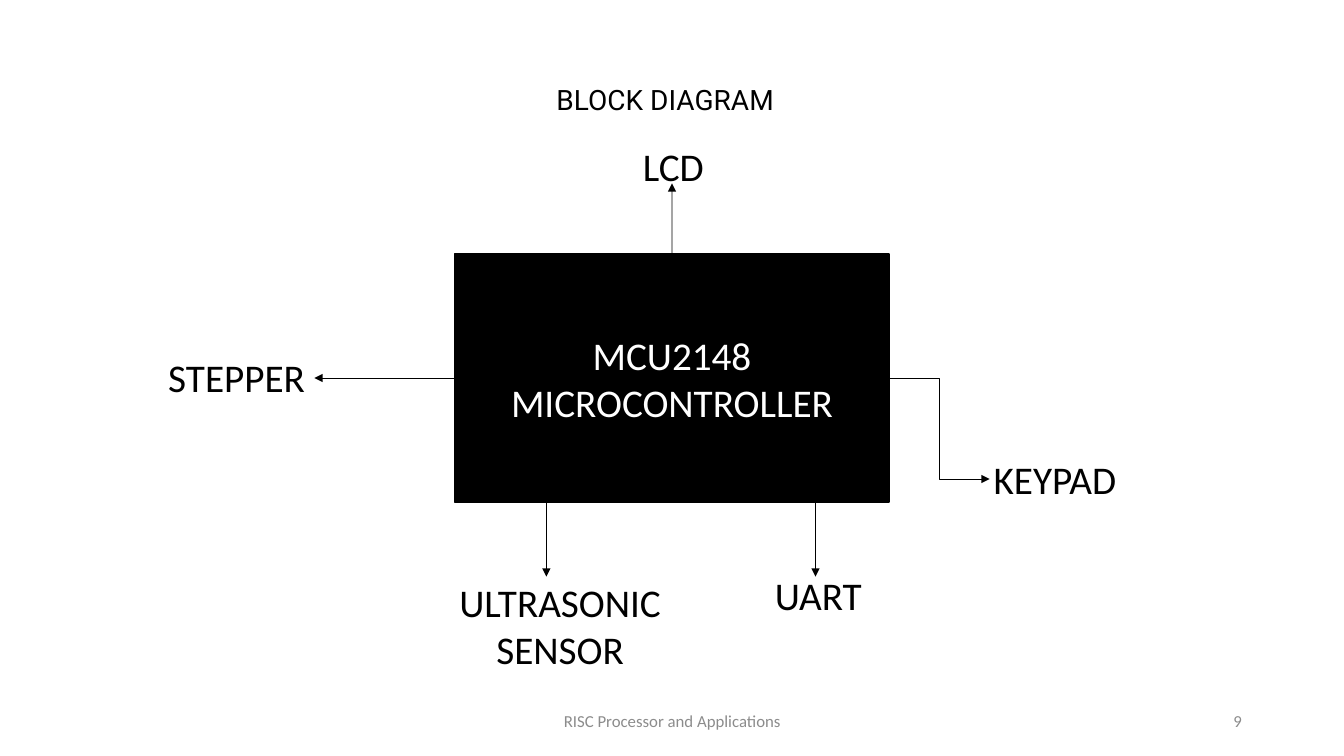
from pptx import Presentation
from pptx.dml.color import RGBColor
from pptx.enum.shapes import MSO_CONNECTOR as Link, MSO_SHAPE as Shape
from pptx.enum.text import MSO_ANCHOR as Anchor, MSO_AUTO_SIZE as Fit, PP_ALIGN as Align
from pptx.oxml.ns import qn
from pptx.util import Cm, Pt
from lxml.etree import SubElement

BLACK = RGBColor(0, 0, 0)
WHITE = RGBColor(255, 255, 255)
GREY = RGBColor(0x8C, 0x8C, 0x8C)


def write(shape, text, size, color, align, anchor=Anchor.TOP, font="Calibri"):
    frame = shape.text_frame
    frame.text = text
    frame.word_wrap = True
    frame.auto_size = Fit.NONE
    frame.vertical_anchor = anchor
    for para in frame.paragraphs:
        para.alignment = align
        for run in para.runs:
            run.font.size = Pt(size)
            run.font.name = font
            run.font.color.rgb = color


def arrow(kind, x1, y1, x2, y2):
    line = slide.shapes.add_connector(kind, Cm(x1), Cm(y1), Cm(x2), Cm(y2))
    line.line.color.rgb = BLACK
    line.line.width = Pt(0.5)
    SubElement(line.line._get_or_add_ln(), qn("a:tailEnd"), type="triangle")
    SubElement(line._element.spPr, qn("a:effectLst"))
    return line


deck = Presentation()
deck.slide_width, deck.slide_height = Cm(33.87), Cm(19.05)
slide = deck.slides.add_slide(deck.slide_layouts[5])

# Title
title = slide.shapes.title
title.left, title.top, title.width, title.height = Cm(13.77), Cm(1.96), Cm(6.35), Cm(1.12)
write(title, "BLOCK DIAGRAM", 20, BLACK, Align.LEFT, font="Roboto")

# Controller
left, top, wide, high = 11.46, 6.4, 10.95, 6.25
right, base = left + wide, top + high
mid_x, mid_y = left + wide / 2, top + high / 2
chip = slide.shapes.add_shape(Shape.RECTANGLE, Cm(left), Cm(top), Cm(wide), Cm(high))
chip.shadow.inherit = False
chip.fill.solid()
chip.fill.fore_color.rgb = BLACK
chip.line.color.rgb = BLACK
chip.line.width = Pt(1)
write(chip, "MCU2148\nMICROCONTROLLER", 28, WHITE, Align.CENTER, Anchor.MIDDLE)

# Arrows from the middle of a side: kind, side, start, end
for kind, side, x1, y1, x2, y2 in [
    (Link.STRAIGHT, 0, mid_x, top, mid_x, 4.62),
    (Link.STRAIGHT, 1, left, mid_y, 7.92, mid_y),
    (Link.ELBOW, 3, right, mid_y, 24.94, 12.07),
]:
    arrow(kind, x1, y1, x2, y2).begin_connect(chip, side)

# Arrows down from the base
for x in (13.77, 20.55):
    arrow(Link.STRAIGHT, x, base, x, 14.53)

# Labels: text, left, top, width, height, size, colour, alignment, anchor
part = (28, BLACK, Align.LEFT, Anchor.TOP)
for text, x, y, w, h, *style in [
    ("LCD", 15.95, 3.45, 6.63, 1.45, *part),
    ("STEPPER", 3.99, 8.79, 4.2, 1.45, *part),
    ("KEYPAD", 24.79, 11.35, 6.63, 1.45, *part),
    ("UART", 19.28, 14.27, 6.63, 1.45, *part),
    ("ULTRASONIC\nSENSOR", 10.8, 14.45, 6.63, 2.64, 28, BLACK, Align.CENTER, Anchor.TOP),
    ("RISC Processor and Applications", 11.23, 17.65, 11.43, 1.02, 12, GREY, Align.CENTER, Anchor.MIDDLE),
    ("9", 23.93, 17.65, 7.62, 1.02, 12, GREY, Align.RIGHT, Anchor.MIDDLE),
]:
    box = slide.shapes.add_textbox(Cm(x), Cm(y), Cm(w), Cm(h))
    write(box, text, *style)

deck.save("out.pptx")
